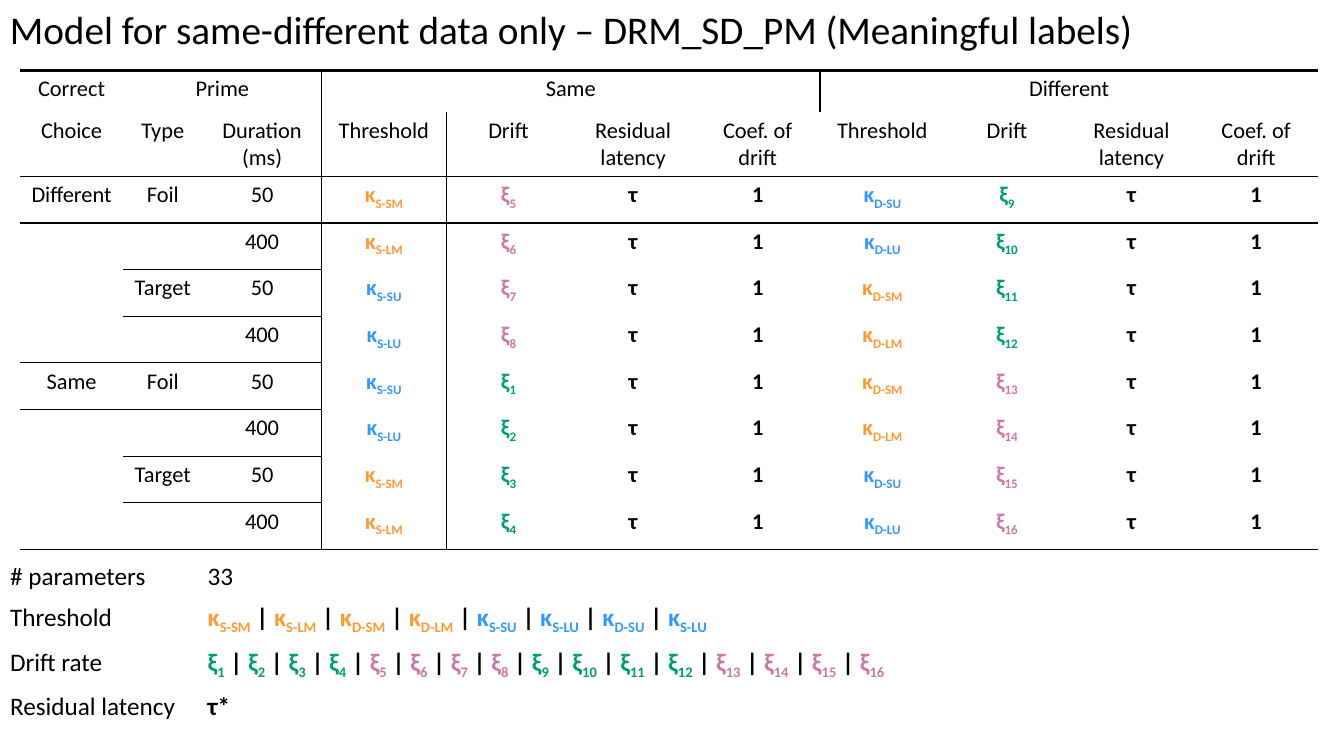
import pptx
import pptx.util
import pptx.dml.color
import pptx.enum.text
import lxml.etree
import pptx.oxml.ns

RGB = pptx.dml.color.RGBColor
BLACK = RGB(0x00, 0x00, 0x00)
WHITE = RGB(0xFF, 0xFF, 0xFF)
ORANGE = RGB(0xFF, 0x99, 0x33)
BLUE = RGB(0x33, 0x99, 0xFF)
GREEN = RGB(0x00, 0x9E, 0x73)
PINK = RGB(0xCC, 0x79, 0xA7)
PLAIN_TABLE = "{2D5ABB26-0587-4C30-8999-92F81FD0307C}"
BAR = " | "


def symbol_color(symbol, index):
    if symbol == "κ":
        return ORANGE if index.endswith("M") else BLUE
    return PINK if (int(index) - 1) // 4 % 2 else GREEN


class Deck:
    font = "Calibri"

    def __init__(self, prs):
        self.prs = prs
        self.s = prs.slides.add_slide(prs.slide_layouts[6])

    def x(self, percent):
        return round(self.prs.slide_width * percent / 100)

    def y(self, percent):
        return round(self.prs.slide_height * percent / 100)

    def add_run(self, p, text, size, color=BLACK, bold=False, sub=False):
        r = p.add_run()
        r.text = text
        r.font.name = self.font
        r.font.size = pptx.util.Pt(size)
        r.font.color.rgb = color
        r.font.bold = bold
        if sub:
            r.font._element.set("baseline", "-25000")

    def add_text(self, tf, text, size, bold=False, align=pptx.enum.text.PP_ALIGN.LEFT):
        for n, line in enumerate(text.split("\n")):
            p = tf.add_paragraph() if n else tf.paragraphs[0]
            p.alignment = align
            if not line:
                p._p.get_or_add_endParaRPr().set("sz", str(size * 100))
                continue
            for k, term in enumerate(line.split(BAR)):
                if k:
                    self.add_run(p, BAR, size, bold=bold)
                symbol, _, index = term.partition("_")
                if symbol in ("κ", "ξ"):
                    color = symbol_color(symbol, index)
                    self.add_run(p, symbol, size, color, bold)
                    self.add_run(p, index, size, color, bold, sub=True)
                else:
                    self.add_run(p, term, size, bold=bold)

    def title(self, text, width, height, size):
        tf = self.s.shapes.add_textbox(0, 0, self.x(width), self.y(height)).text_frame
        tf.word_wrap = False
        tf.auto_size = pptx.enum.text.MSO_AUTO_SIZE.SHAPE_TO_FIT_TEXT
        self.add_text(tf, text, size)

    def table(self, left, top, cols, rows):
        frame = self.s.shapes.add_table(len(rows), len(cols), self.x(left), self.y(top),
                                        self.x(sum(cols)), self.y(sum(rows)))
        tb = frame.table
        tb.first_row = tb.horz_banding = False
        tb._tbl.tblPr.find(pptx.oxml.ns.qn("a:tableStyleId")).text = PLAIN_TABLE
        for col, width in zip(tb.columns, cols):
            col.width = self.x(width)
        for row, height in zip(tb.rows, rows):
            row.height = self.y(height)
        return tb

    def borders(self, cell, widths):
        tcPr = cell._tc.get_or_add_tcPr()
        for side in "LRTB":
            if widths.get(side):
                ln = lxml.etree.SubElement(tcPr, pptx.oxml.ns.qn("a:ln" + side),
                                           w=str(pptx.util.Pt(widths[side])))
                fill = lxml.etree.SubElement(ln, pptx.oxml.ns.qn("a:solidFill"))
                lxml.etree.SubElement(fill, pptx.oxml.ns.qn("a:srgbClr"), val=str(BLACK))


def model_rows():
    measures = ["Threshold", "Drift", "Residual latency", "Coef. of\ndrift"]
    rows = [["Correct", "Prime", "", "Same", "", "", "", "Different", "", "", ""],
            ["Choice", "Type", "Duration (ms)"] + measures * 2]
    for i in range(8):
        choice = ("Different", "Same")[i // 4]
        prime = ("Foil", "Target")[i // 2 % 2]
        length = "SL"[i % 2]
        match = (choice == "Different") == (prime == "Foil")
        same, different = ("M", "U") if match else ("U", "M")
        rows.append(["" if i % 4 else choice, "" if i % 2 else prime, ("50", "400")[i % 2],
                     f"κ_S-{length}{same}", f"ξ_{(i + 4) % 8 + 1}", "τ", "1",
                     f"κ_D-{length}{different}", f"ξ_{i + 9}", "τ", "1"])
    return rows


def ruled_below(r, c):
    return r in (1, 9) or r > 1 and (c == 2 or c == 1 and r % 2 == 1 or c == 0 and r == 5)


def add_model_table(deck):
    label_cols = [7.65, 5.93, 8.85]
    cols = label_cols + [(96.62 - sum(label_cols)) / 8] * 8
    tb = deck.table(1.5, 9.33, cols, [5.47, 8.53] + [6.17] * 8)
    for first, last in ((1, 2), (3, 6), (7, 10)):
        tb.cell(0, first).merge(tb.cell(0, last))
    for r, row in enumerate(model_rows()):
        for c, text in enumerate(row):
            cell = tb.cell(r, c)
            deck.add_text(cell.text_frame, text, 16, r > 1 and c > 2,
                          pptx.enum.text.PP_ALIGN.CENTER)
            deck.borders(cell, {"L": c == 3, "R": c == 2 or (r, c) == (0, 1),
                                "T": 2.25 if r == 0 else ruled_below(r - 1, c),
                                "B": ruled_below(r, c)})
            cell.fill.background()


def add_parameter_table(deck):
    thresholds = ["S-SM", "S-LM", "D-SM", "D-LM", "S-SU", "S-LU", "D-SU", "S-LU"]
    rows = [("# parameters", "33"),
            ("Threshold", BAR.join("κ_" + t for t in thresholds)),
            ("Drift rate", BAR.join(f"ξ_{n}" for n in range(1, 17))),
            ("Residual latency", "τ*"),
            ("", "")]
    tb = deck.table(0, 73.6, [14.7, 84.47], [5.4, 5.93, 5.8, 5.4, 4.1])
    for r, row in enumerate(rows):
        for c, text in enumerate(row):
            cell = tb.cell(r, c)
            deck.add_text(cell.text_frame, text, 18 if text else 10, r > 0 and c == 1)
            cell.fill.solid()
            cell.fill.fore_color.rgb = WHITE


prs = pptx.Presentation()
prs.slide_width = pptx.util.Inches(13.33)
prs.slide_height = pptx.util.Inches(7.5)
deck = Deck(prs)
deck.title("Model for same-different data only – DRM_SD_PM (Meaningful labels)", 85.97, 7.6, 28)
add_model_table(deck)
add_parameter_table(deck)
prs.save("out.pptx")
